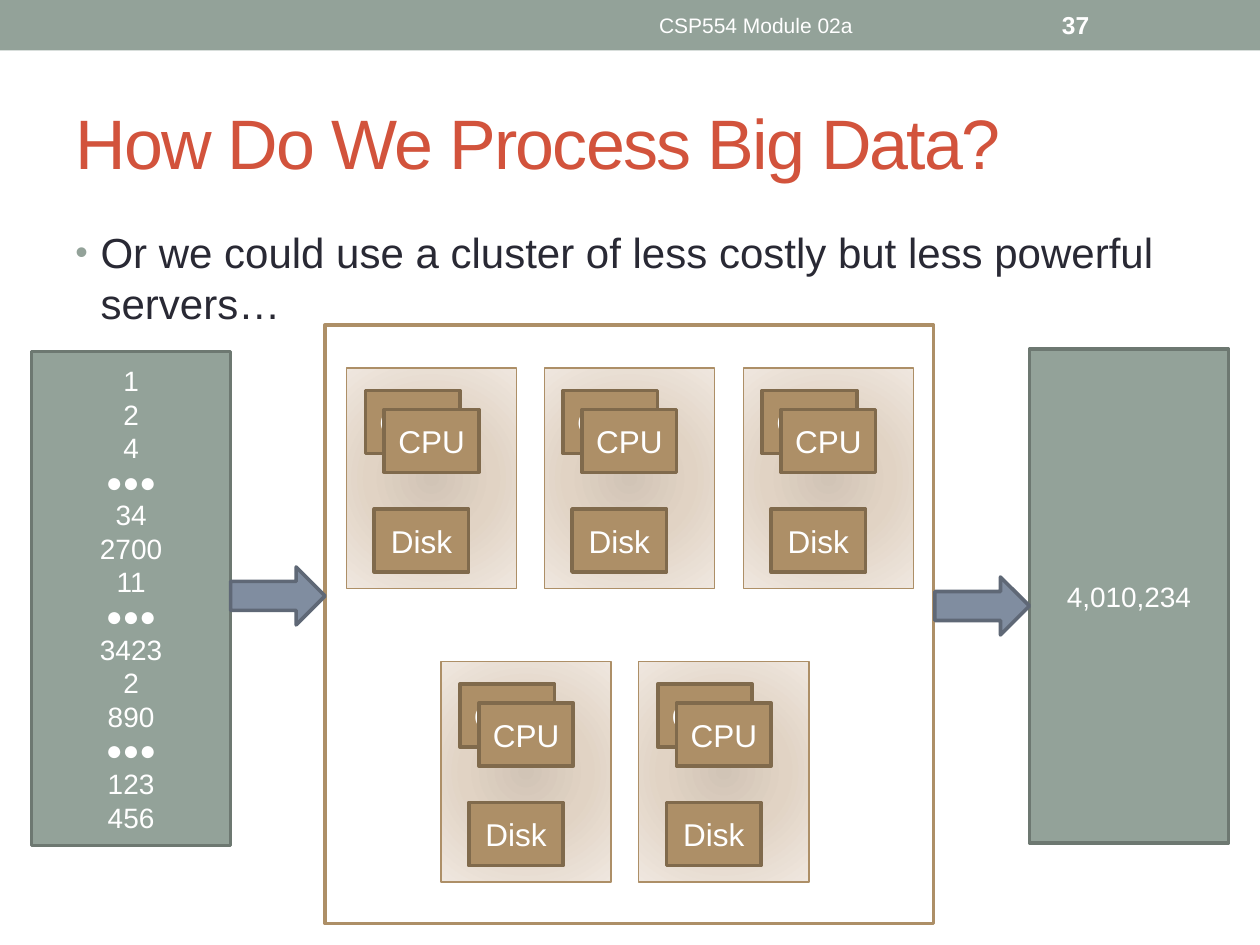
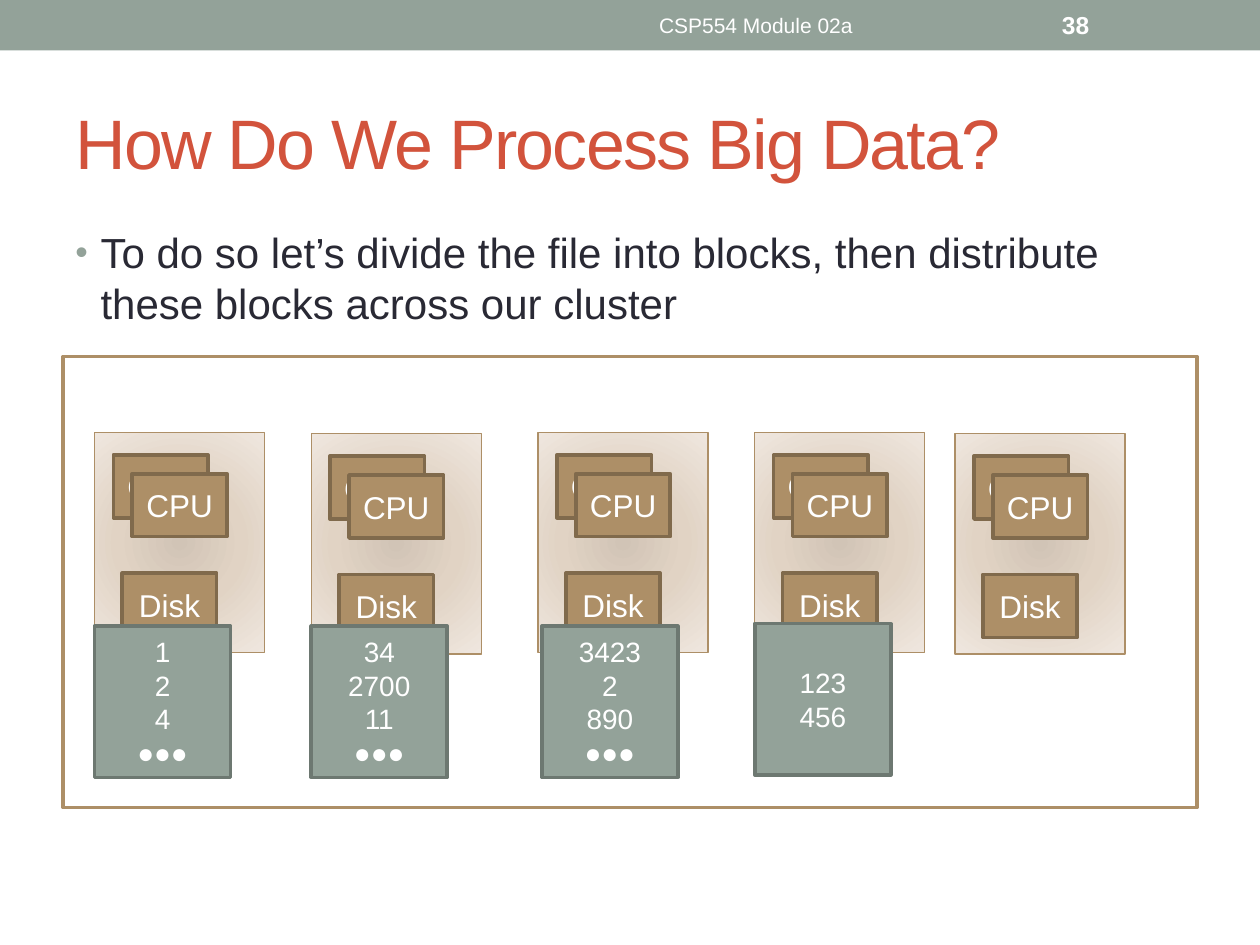
"""Build two slides on processing big data with a cluster of servers."""
import pptx
import pptx.dml.color
import pptx.enum.shapes
import pptx.enum.text
import pptx.oxml
import pptx.oxml.ns
import pptx.util

Inches = pptx.util.Inches
Pt = pptx.util.Pt
RGBColor = pptx.dml.color.RGBColor
Shape = pptx.enum.shapes.MSO_SHAPE
Align = pptx.enum.text.PP_ALIGN
Anchor = pptx.enum.text.MSO_ANCHOR

WHITE = RGBColor(0xFF, 0xFF, 0xFF)
SAGE = RGBColor(0x93, 0xA2, 0x99)
SAGE_EDGE = RGBColor(0x6D, 0x78, 0x71)
TAN = RGBColor(0xAD, 0x8F, 0x67)
TAN_EDGE = RGBColor(0x80, 0x6A, 0x4C)
SLATE = RGBColor(0x80, 0x8D, 0xA0)
SLATE_EDGE = RGBColor(0x5F, 0x68, 0x76)
TITLE_RED = RGBColor(0xD2, 0x53, 0x3C)
INK = RGBColor(0x29, 0x29, 0x34)
SERVER_STOPS = [(0, RGBColor(0xD1, 0xC4, 0xB6)), (45, RGBColor(0xE1, 0xD3, 0xC4)),
                (100, RGBColor(0xEF, 0xE7, 0xDF))]

FONT = "Arial"
NAMESPACE = pptx.oxml.ns.nsdecls("a")
THICK = 2.08
THIN = 0.75
DOTS = "●●●"
FILE_BLOCKS = [["1", "2", "4", DOTS], ["34", "2700", "11", DOTS],
               ["3423", "2", "890", DOTS], ["123", "456"]]
SERVER_PARTS = [("CPU", 0.15, 0.18), ("CPU", 0.3, 0.33), ("Disk", 0.22, 1.12)]


def write_text(shape, lines, size, color, align=Align.CENTER, anchor=Anchor.MIDDLE):
    frame = shape.text_frame
    frame.word_wrap = True
    frame.vertical_anchor = anchor
    frame.text = "\n".join(lines)
    for paragraph in frame.paragraphs:
        paragraph.alignment = align
        for run in paragraph.runs:
            run.font.name = FONT
            run.font.size = Pt(size)
            run.font.color.rgb = color
    return frame.paragraphs[0]


def add_box(slide, position, fill, edge=None, width=THICK, kind=Shape.RECTANGLE):
    shape = slide.shapes.add_shape(kind, *map(Inches, position))
    shape.shadow.inherit = False
    if fill is not None:
        shape.fill.solid()
        shape.fill.fore_color.rgb = fill
    if edge is None:
        shape.line.fill.background()
    else:
        shape.line.color.rgb = edge
        shape.line.width = Pt(width)
    return shape


presentation = pptx.Presentation()
presentation.slide_width = Inches(10)
presentation.slide_height = Inches(7.5)

pages = [
    ("37", "Or we could use a cluster of less costly but less powerful servers…",
     (2.58, 2.58, 4.83, 4.75),
     [(2.75, 2.92), (4.32, 2.92), (5.9, 2.92), (3.5, 5.25), (5.07, 5.25)]),
    ("38", "To do so let’s divide the file into blocks, then distribute these blocks across our cluster",
     (0.5, 2.83, 9, 3.58),
     [(0.75, 3.43), (2.47, 3.44), (4.27, 3.43), (5.99, 3.43), (7.58, 3.44)]),
]

slides = []
for number, message, cluster, servers in pages:
    slide = presentation.slides.add_slide(presentation.slide_layouts[6])
    slides.append(slide)
    add_box(slide, (0, 0, 10, 0.4), SAGE)
    add_box(slide, cluster, WHITE, TAN)

    title = slide.shapes.add_textbox(Inches(0.5), Inches(0.58), Inches(9), Inches(1.08))
    paragraph = write_text(title, ["How Do We Process Big Data?"], 40, TITLE_RED, Align.LEFT)
    paragraph.runs[0].font._element.set("spc", "-100")

    body = slide.shapes.add_textbox(Inches(0.5), Inches(1.75), Inches(9), Inches(5.33))
    paragraph = write_text(body, [message], 24, INK, Align.LEFT, Anchor.TOP)
    paragraph.space_before = Pt(4.8)
    properties = paragraph._p.get_or_add_pPr()
    properties.set("marL", str(Inches(0.2)))
    properties.set("indent", str(Inches(-0.2)))
    for bullet in (f'<a:buClr {NAMESPACE}><a:srgbClr val="{SAGE}"/></a:buClr>',
                   f'<a:buSzPct {NAMESPACE} val="85000"/>',
                   f'<a:buFont {NAMESPACE} typeface="{FONT}"/>',
                   f'<a:buChar {NAMESPACE} char="•"/>'):
        properties.append(pptx.oxml.parse_xml(bullet))

    footer = slide.shapes.add_textbox(Inches(3.75), Inches(0.02), Inches(4.5), Inches(0.36))
    write_text(footer, ["CSP554 Module 02a"], 12, WHITE)
    page_number = slide.shapes.add_textbox(Inches(8.33), Inches(0.02), Inches(1.17), Inches(0.36))
    paragraph = write_text(page_number, [number], 14, WHITE, Align.LEFT)
    paragraph.runs[0].font.bold = True

    for left, top in servers:
        server = add_box(slide, (left, top, 1.35, 1.75), None, TAN, THIN)
        stops = "".join(f'<a:gs pos="{percent * 1000}"><a:srgbClr val="{color}"/></a:gs>'
                        for percent, color in SERVER_STOPS)
        gradient = pptx.oxml.parse_xml(
            f'<a:gradFill {NAMESPACE} rotWithShape="1"><a:gsLst>{stops}</a:gsLst>'
            '<a:path path="circle"><a:fillToRect l="100000" t="100000" r="100000" b="100000"/>'
            '</a:path></a:gradFill>')
        server.element.spPr.insert(2, gradient)
        for label, across, down in SERVER_PARTS:
            part = add_box(slide, (left + across, top + down, 0.75, 0.5), TAN, TAN_EDGE)
            write_text(part, [label], 18, WHITE)

cluster_slide, blocks_slide = slides

input_file = add_box(cluster_slide, (0.25, 2.79, 1.58, 3.92), SAGE, SAGE_EDGE)
write_text(input_file, sum(FILE_BLOCKS, []), 16, WHITE)
result = add_box(cluster_slide, (8.17, 2.77, 1.58, 3.92), SAGE, SAGE_EDGE)
write_text(result, ["4,010,234"], 16, WHITE)
for left, top in [(1.83, 4.5), (7.42, 4.58)]:
    add_box(cluster_slide, (left, top, 0.75, 0.46), SLATE, SLATE_EDGE, kind=Shape.RIGHT_ARROW)

block_places = [(0.75, 4.97), (2.47, 4.97), (4.3, 4.97), (5.99, 4.95)]
for (left, top), values in zip(block_places, FILE_BLOCKS):
    block = add_box(blocks_slide, (left, top, 1.08, 1.2), SAGE, SAGE_EDGE)
    write_text(block, values, 16, WHITE)

presentation.save("out.pptx")
